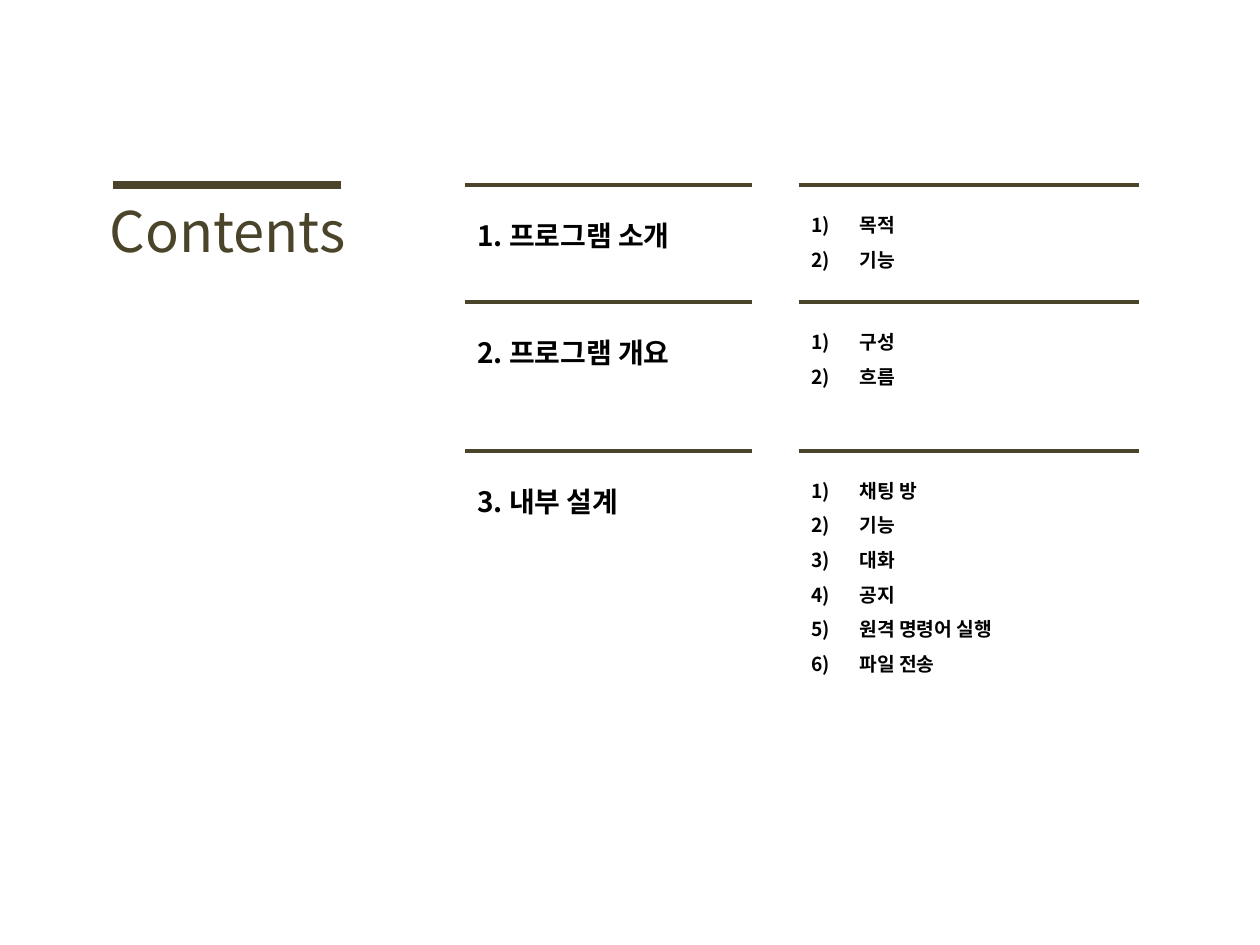
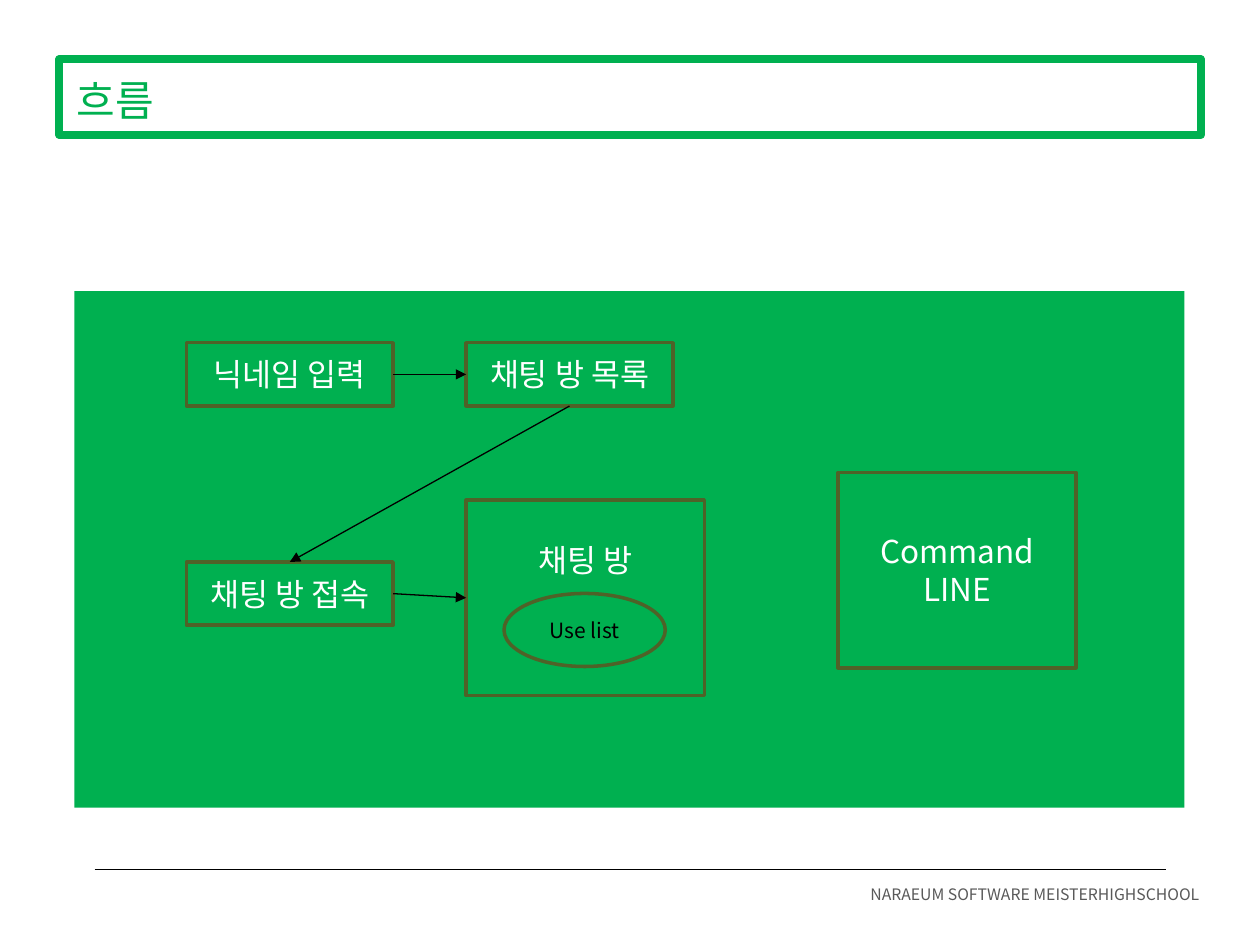
"""Builds the contents page and the chat flow page of a chat program deck."""
from lxml.etree import SubElement
from pptx import Presentation
from pptx.dml.color import RGBColor
from pptx.enum.shapes import MSO_CONNECTOR as Connector, MSO_SHAPE as Shape
from pptx.enum.text import MSO_ANCHOR as Anchor, MSO_AUTO_SIZE as AutoSize, PP_ALIGN as Align
from pptx.oxml.ns import qn
from pptx.util import Inches, Pt

WIDTH, HEIGHT = Inches(10), Inches(7.5)
FONT = "Noto Sans CJK KR"
COLORS = {
    "olive": "4A452A",
    "moss": "4F6228",
    "green": "00B050",
    "gray": "595959",
    "black": "000000",
    "white": "FFFFFF",
}
TITLE_ONLY, COMPARISON = 5, 4
TOP, LEFT, BOTTOM, RIGHT = range(4)
LOOSE = 1.8

SECTIONS = [
    (19.6, "1. 프로그램 소개", ["목적", "기능"]),
    (32, "2. 프로그램 개요", ["구성", "흐름"]),
    (47.73, "3. 내부 설계", ["채팅 방", "기능", "대화", "공지", "원격 명령어 실행", "파일 전송"]),
]
TOPIC_LEFT, TOPIC_RIGHT = 36.9, 59.7
LIST_LEFT, LIST_RIGHT = 63.4, 90.4
TEXT_WIDTH, TEXT_DROP = 25.2, 1.07


def across(share):
    """Turn a percentage of the slide width into a length."""
    return round(WIDTH * share / 100)


def down(share):
    """Turn a percentage of the slide height into a length."""
    return round(HEIGHT * share / 100)


def area(left, top, width, height):
    """Turn four percentages into a position and size."""
    return across(left), down(top), across(width), down(height)


def color(name):
    """Look up a named colour."""
    return RGBColor.from_string(COLORS[name])


def apply(target, values):
    """Set attributes of an object from a dict."""
    for name, value in values.items():
        setattr(target, name, value)


def write(box, lines, size, ink, bold=False, spacing=None, align=Align.LEFT, **frame):
    """Fill a box with formatted paragraphs; spacing is a multiple of the size."""
    text = box.text_frame
    apply(text, {"word_wrap": True, "auto_size": AutoSize.NONE,
                 "vertical_anchor": Anchor.TOP, **frame})
    text.text = "\n".join(lines)
    for para in text.paragraphs:
        apply(para, {"alignment": align, "space_before": Pt(0),
                     "line_spacing": Pt(size * spacing) if spacing else 1.0})
        for span in para.runs:
            apply(span.font, {"name": FONT, "size": Pt(size), "bold": bold})
            span.font.color.rgb = color(ink)
            SubElement(span.font._element, qn("a:ea")).set("typeface", FONT)


def move(box, place):
    """Put a box at a position and size."""
    apply(box, dict(zip(("left", "top", "width", "height"), place)))


def add_title(page, text, place, size, ink, **style):
    """Move and format the title placeholder."""
    move(page.shapes.title, place)
    write(page.shapes.title, [text], size, ink, **style)


def add_text(page, text, place, size, ink, **style):
    """Add a loosely spaced line of text."""
    write(page.shapes.add_textbox(*place), [text], size, ink, spacing=LOOSE, **style)


def number_list(box):
    """Number the paragraphs of a box as 1), 2), 3)."""
    for para in box.text_frame.paragraphs:
        layout = para._p.get_or_add_pPr()
        layout.set("marL", str(Inches(0.38)))
        layout.set("indent", str(-Inches(0.38)))
        SubElement(layout, qn("a:buFont")).set("typeface", FONT)
        SubElement(layout, qn("a:buAutoNum")).set("type", "arabicParenR")


def add_line(page, start, end, ink="black", weight=0.75):
    """Draw a straight line without a shadow."""
    line = page.shapes.add_connector(
        Connector.STRAIGHT, across(start[0]), down(start[1]), across(end[0]), down(end[1]))
    line.line.color.rgb = color(ink)
    line.line.width = Pt(weight)
    SubElement(line._element.spPr, qn("a:effectLst"))
    return line


def add_rule(page, left, right, top, ink="olive", weight=2.25):
    """Draw a horizontal rule."""
    add_line(page, (left, top), (right, top), ink, weight)


def add_arrow(page, source, source_side, target, target_side):
    """Join two boxes with an arrow."""
    arrow = add_line(page, (0, 0), (0, 0))
    arrow.begin_connect(source, source_side)
    arrow.end_connect(target, target_side)
    SubElement(arrow.line._get_or_add_ln(), qn("a:tailEnd")).set("type", "triangle")


def add_shape(page, place, kind=Shape.RECTANGLE, fill=None, outline=None, weight=2):
    """Add a flat shape with an optional fill and outline."""
    box = page.shapes.add_shape(kind, *place)
    box.shadow.inherit = False
    for paint, name in ((box.fill, fill), (box.line.fill, outline)):
        if name:
            paint.solid()
            paint.fore_color.rgb = color(name)
        else:
            paint.background()
    if outline:
        box.line.width = Pt(weight)
    return box


def add_step(page, text, place, kind=Shape.RECTANGLE, size=18, ink="white", **style):
    """Add an outlined flow step with centred text."""
    box = add_shape(page, place, kind, outline="moss")
    write(box, [text], size, ink, align=Align.CENTER, vertical_anchor=Anchor.MIDDLE, **style)
    return box


def add_section(page, body, top, topic, items):
    """Add a ruled row with a topic and its numbered list."""
    add_rule(page, TOPIC_LEFT, TOPIC_RIGHT, top)
    add_rule(page, LIST_LEFT, LIST_RIGHT, top)
    text_top = top + TEXT_DROP
    add_text(page, topic, area(TOPIC_LEFT, text_top, TEXT_WIDTH, 6.27), 16, "black", bold=True)
    move(body, area(LIST_LEFT, text_top, TEXT_WIDTH, 1.33 + 3.67 * len(items)))
    write(body, items, 11, "black", bold=True, spacing=LOOSE)
    number_list(body)


def add_footer(page):
    """Add the footer rule and school name."""
    add_rule(page, 7.5, 92.5, 92, "black", 0.75)
    add_text(page, "NARAEUM SOFTWARE MEISTERHIGHSCHOOL", area(68.1, 92, 28.7, 4.13), 9, "gray",
             word_wrap=False)


def build_contents(deck):
    """Build the contents page."""
    page = deck.slides.add_slide(deck.slide_layouts[COMPARISON])
    add_title(page, "Contents", area(7.7, 19.6, 20.8, 8.53), 32, "olive",
              spacing=1.28, word_wrap=False)
    add_rule(page, 9, 27.1, SECTIONS[0][0], weight=4.5)
    bodies = list(page.placeholders)[1:]
    for body, section in zip(bodies, SECTIONS):
        add_section(page, body, *section)
    for spare in bodies[len(SECTIONS):]:
        spare._element.getparent().remove(spare._element)


def build_flow(deck):
    """Build the chat flow page."""
    page = deck.slides.add_slide(deck.slide_layouts[TITLE_ONLY])
    add_footer(page)
    add_shape(page, area(4.7, 6.27, 90.6, 8), outline="green", weight=4.5)
    add_title(page, "흐름", area(5.1, 6.53, 23.6, 8), 24, "green", vertical_anchor=Anchor.MIDDLE)
    add_shape(page, area(5.9, 30.8, 88.1, 54.67), fill="green")

    first, second, small, large = 14.8, 37, (16.4, 6.7), (18.9, 20.67)
    nickname = add_step(page, "닉네임 입력", area(first, 36.27, *small))
    join = add_step(page, "채팅 방 접속", area(first, 59.47, *small))
    rooms = add_step(page, "채팅 방 목록", area(second, 36.27, *small))
    chat = add_step(page, "채팅 방", area(second, 52.93, *large), margin_bottom=Inches(0.65))
    add_step(page, "Command LINE", area(66.5, 50, *large), spacing=1.2)
    add_step(page, "Use list", area(40, 62.8, 12.8, 7.73), Shape.OVAL, 12, "black")

    add_arrow(page, nickname, RIGHT, rooms, LEFT)
    add_arrow(page, rooms, BOTTOM, join, TOP)
    add_arrow(page, join, RIGHT, chat, LEFT)


def main():
    """Build and save the deck."""
    deck = Presentation()
    apply(deck, {"slide_width": WIDTH, "slide_height": HEIGHT})
    build_contents(deck)
    build_flow(deck)
    deck.save("out.pptx")


if __name__ == "__main__":
    main()
